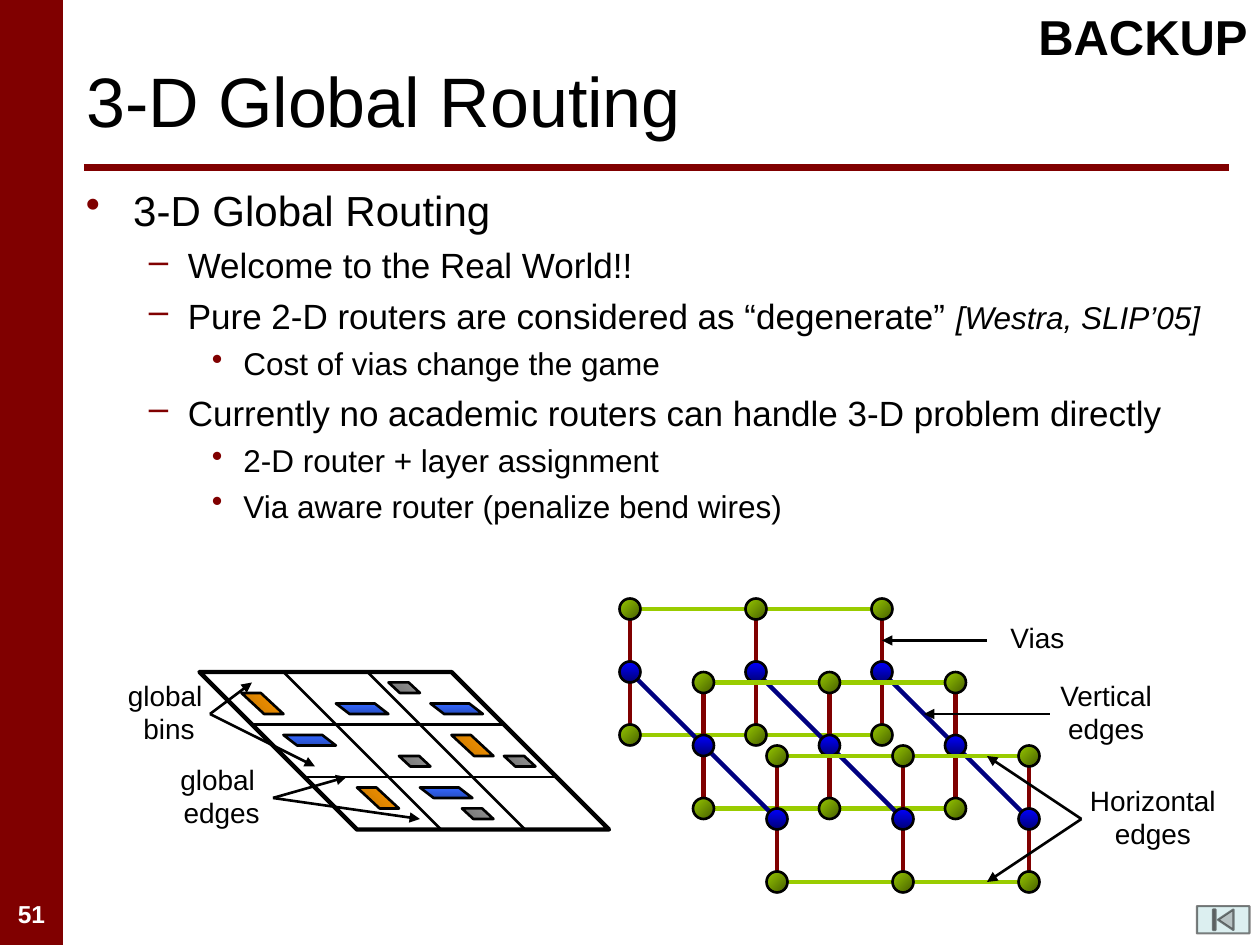
from lxml.etree import SubElement
from pptx import Presentation
from pptx.dml.color import RGBColor
from pptx.enum.shapes import MSO_CONNECTOR, MSO_SHAPE as SHAPE
from pptx.enum.text import MSO_ANCHOR, MSO_AUTO_SIZE, PP_ALIGN
from pptx.oxml.ns import qn
from pptx.util import Pt

PX = 7620
BLACK, WHITE, MAROON, LIME, NAVY = "000000", "FFFFFF", "800000", "99CC00", "000080"
GREEN_NODE = (LIME, "475E00", 45)
BLUE_NODE = ("0000FF", "000076", 90)

TITLE = "3-D Global Routing"
BULLETS = [
    (0, [("3-D Global Routing", 24, False)]),
    (1, [("Welcome to the Real World!!", 20, False)]),
    (1, [("Pure 2-D routers are considered as “degenerate” ", 20, False),
         ("[Westra, SLIP’05]", 18, True)]),
    (2, [("Cost of vias change the game", 18, False)]),
    (1, [("Currently no academic routers can handle 3-D problem directly", 20, False)]),
    (2, [("2-D router + layer assignment", 18, False)]),
    (2, [("Via aware router (penalize bend wires)", 18, False)]),
]
LEVELS = [("•", 45, 45, 0), ("–", 97, 37, 5), ("•", 150, 30, 4.5)]

LAYERS = [(600, 580), (670, 650), (740, 720)]
COLS, STEP_X, STEP_Y = 3, 120, 60
NODE = 20

BOARD = (190, 640, 390, 150)
CELL_W, CELL_H = 80, 50
CHIPS = [
    ((40, 20), 1.08, ("FF9900", "C27400", 45), [(230, 660), (430, 700), (340, 750)]),
    ((50, 10), 1.3, ("3366FF", "274EC2", 90), [(400, 750), (410, 670), (270, 700), (320, 670)]),
    ((30, 10), 1.08, ("969696", "727272", 45), [(480, 720), (370, 650), (440, 770), (380, 720)]),
]

LABELS = [
    (["global ", "edges"], (160, 720, 102, 77)),
    (["global ", "bins"], (110, 640, 102, 77)),
    (["Horizontal", "edges"], (1026, 740, 144, 77)),
    (["Vias"], (950, 585, 76, 44)),
    (["Vertical", "edges"], (997, 640, 113, 77)),
]
ARROWS = [
    ((200, 680), [(240, 650), (300, 730)]),
    ((260, 760), [(330, 740), (400, 780)]),
    ((1030, 780), [(940, 840), (940, 720)]),
    ((1000, 680), [(880, 680)]),
    ((940, 610), [(840, 610)]),
]

prs = Presentation()
prs.slide_width, prs.slide_height = 1200 * PX, 900 * PX
slide = prs.slides.add_slide(prs.slide_layouts[5])
shapes = slide.shapes


def rgb(color):
    return RGBColor.from_string(color)


def emu(*lengths):
    return [n * PX for n in lengths]


def add_line(start, end, color, width, arrow=False):
    c = shapes.add_connector(MSO_CONNECTOR.STRAIGHT, *emu(*start, *end))
    c.line.color.rgb = rgb(color)
    c.line.width = Pt(width)
    if arrow:
        SubElement(c.line._get_or_add_ln(), qn("a:tailEnd"), type="triangle")
    SubElement(c._element.spPr, qn("a:effectLst"))


def add_box(kind, box, fill=None, line=None, width=1.5, adj=None):
    sp = shapes.add_shape(kind, *emu(*box))
    sp.shadow.inherit = False
    if isinstance(fill, tuple):
        *colors, angle = fill
        sp.fill.gradient()
        sp.fill.gradient_angle = 360 - angle
        for stop, color in zip(sp.fill.gradient_stops, colors):
            stop.color.rgb = rgb(color)
    elif fill:
        sp.fill.solid()
        sp.fill.fore_color.rgb = rgb(fill)
    else:
        sp.fill.background()
    if line:
        sp.line.color.rgb = rgb(line)
        sp.line.width = Pt(width)
    else:
        sp.line.fill.background()
    if adj:
        sp.adjustments[0] = adj
        sp._element.spPr.find(qn("a:xfrm")).set("flipH", "1")
    return sp


def add_run(p, text, size, color=BLACK, bold=False, italic=False):
    r = p.add_run()
    r.text = text
    r.font.name = "Arial"
    r.font.size = Pt(size)
    r.font.bold, r.font.italic = bold, italic
    r.font.color.rgb = rgb(color)


def add_text(lines, box, size, align, color=BLACK, bold=False, wrap=True):
    tf = shapes.add_textbox(*emu(*box)).text_frame
    tf.word_wrap = wrap
    tf.auto_size = MSO_AUTO_SIZE.SHAPE_TO_FIT_TEXT
    p = tf.paragraphs[0]
    p.alignment = align
    for i, text in enumerate(lines):
        if i:
            p.add_line_break()
        add_run(p, text, size, color, bold)


def add_bullets(box):
    tf = shapes.add_textbox(*emu(*box)).text_frame
    tf.word_wrap = True
    for i, (level, runs) in enumerate(BULLETS):
        mark, margin, hang, before = LEVELS[level]
        p = tf.add_paragraph() if i else tf.paragraphs[0]
        p.level = level
        pPr = p._p.get_or_add_pPr()
        pPr.set("marL", str(margin * PX))
        pPr.set("indent", str(-hang * PX))
        p.space_before = Pt(before)
        SubElement(SubElement(pPr, qn("a:buClr")), qn("a:srgbClr"), val=MAROON)
        SubElement(pPr, qn("a:buChar"), char=mark)
        for text, size, italic in runs:
            add_run(p, text, size, italic=italic)


def add_routing_grid():
    spans = [(c * STEP_X, (c + 1) * STEP_X) for c in range(COLS - 1)]
    for x, y in LAYERS:
        for a, b in spans:
            add_line((x + a, y + 2 * STEP_Y), (x + b, y + 2 * STEP_Y), LIME, 2.5)
    for c in range(COLS):
        for (x1, y1), (x2, y2) in zip(LAYERS, LAYERS[1:]):
            add_line((x1 + c * STEP_X, y1 + STEP_Y), (x2 + c * STEP_X, y2 + STEP_Y), NAVY, 2.5)
    for x, y in LAYERS:
        for c in range(COLS):
            add_line((x + c * STEP_X, y), (x + c * STEP_X, y + 2 * STEP_Y), MAROON, 2.5)
        for a, b in spans:
            add_line((x + a, y), (x + b, y), LIME, 2.5)
        for row, fill in enumerate([GREEN_NODE, BLUE_NODE, GREEN_NODE]):
            for c in range(COLS):
                left, top = x + c * STEP_X - NODE // 2, y + row * STEP_Y - NODE // 2
                add_box(SHAPE.OVAL, (left, top, NODE, NODE), fill, BLACK)


def add_board():
    x, y, w, h = BOARD
    for i in (1, 2):
        add_line((x + i * CELL_W, y), (x + i * CELL_W + h, y + h), BLACK, 1.5)
        dy = i * CELL_H
        add_line((x + dy, y + dy), (x + dy + w - h, y + dy), BLACK, 1.5)
    add_box(SHAPE.PARALLELOGRAM, BOARD, None, BLACK, 2.5, 1)
    for size, adj, fill, places in CHIPS:
        for place in places:
            add_box(SHAPE.PARALLELOGRAM, place + size, fill, BLACK, 1.5, adj)


add_box(SHAPE.RECTANGLE, (0, 0, 60, 900), MAROON)
add_line((80, 160), (1170, 160), MAROON, 4)
add_text(["51"], (0, 850, 60, 40), 14, PP_ALIGN.CENTER, WHITE, True)

title = shapes.title
title.left, title.top, title.width, title.height = emu(70, 30, 1100, 130)
title.text_frame.vertical_anchor = MSO_ANCHOR.MIDDLE
title.text_frame.paragraphs[0].alignment = PP_ALIGN.LEFT
add_run(title.text_frame.paragraphs[0], TITLE, 40)

add_bullets((70, 170, 1100, 700))
add_routing_grid()
add_board()
for lines, box in LABELS:
    add_text(lines, box, 16, PP_ALIGN.CENTER, wrap=False)
for start, ends in ARROWS:
    for end in ends:
        add_line(start, end, BLACK, 1.5, arrow=True)

add_text(["BACKUP"], (960, 0, 240, 68), 28, PP_ALIGN.RIGHT, bold=True)
button = add_box(SHAPE.ACTION_BUTTON_BEGINNING, (1140, 863, 50, 26), "BBE0E3", BLACK, 1.25)
for clr in button._element.spPr.iter(qn("a:srgbClr")):
    SubElement(clr, qn("a:alpha"), val="50000")

prs.save("out.pptx")
